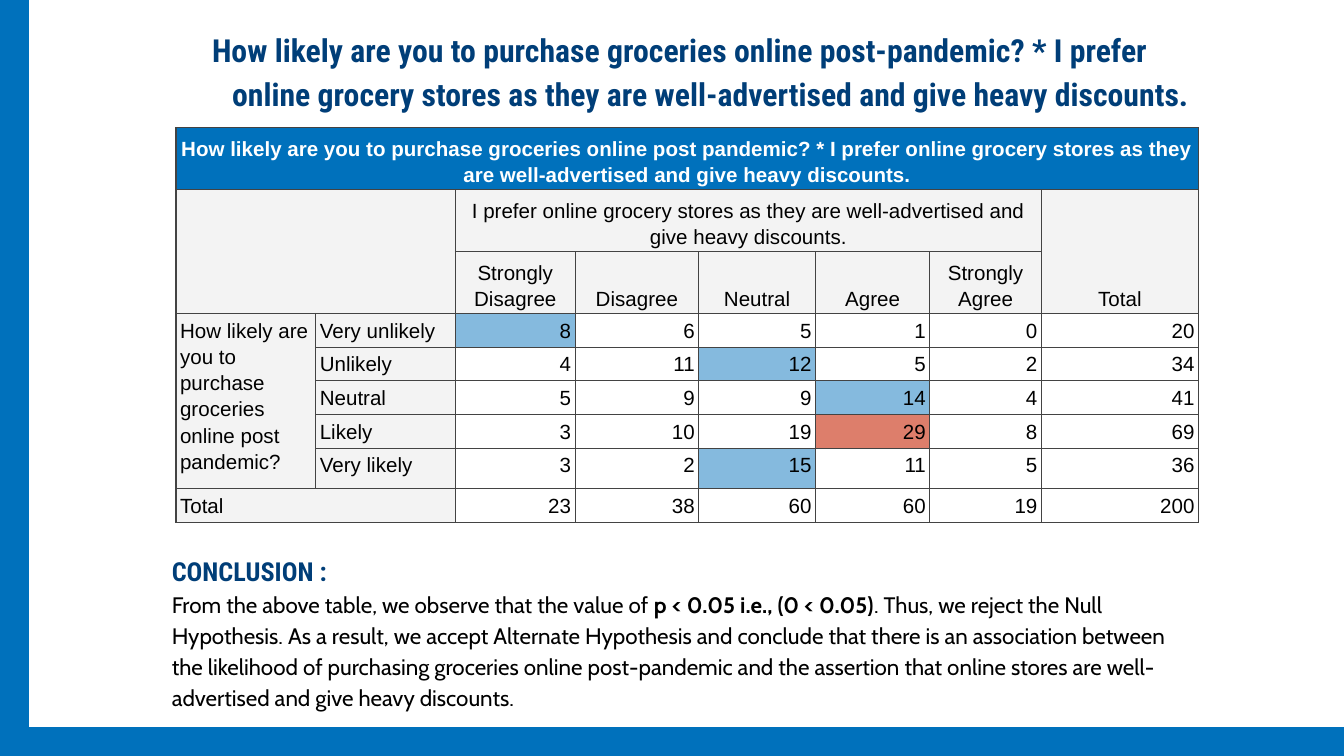
from pptx import Presentation
from pptx.dml.color import RGBColor as RGB
from pptx.enum.shapes import MSO_SHAPE as Shape
from pptx.enum.text import MSO_ANCHOR as Anchor, MSO_AUTO_SIZE as Auto, PP_ALIGN as Align
from pptx.oxml import parse_xml
from pptx.oxml.ns import nsdecls
from pptx.util import Inches, Pt

HUE = {
    "blue": "0071BC", "navy": "003E78", "black": "000000", "white": "FFFFFF",
    "grey": "F3F3F3", "line": "434343", "sky": "85BADE", "red": "DD7E6B",
}
HEAD = "Roboto Condensed"

deck = Presentation()
W = Inches(10)
H = W * 9 // 16
deck.slide_width, deck.slide_height = W, H
slide = deck.slides.add_slide(deck.slide_layouts[6])


def style(par, size, face, hue, bold=False, align=Align.LEFT):
    par.alignment = align
    par.line_spacing = 1.15
    for run in par.runs:
        run.font.size = Pt(size)
        run.font.name = face
        run.font.bold = bold
        run.font.color.rgb = RGB.from_string(HUE[hue])


def add_box(x, y, w, h):
    box = slide.shapes.add_textbox(Inches(x), Inches(y), Inches(w), Inches(h))
    frame = box.text_frame
    frame.word_wrap = True
    frame.vertical_anchor = Anchor.TOP
    frame.margin_left = frame.margin_right = Inches(0.1)
    frame.margin_top = frame.margin_bottom = Inches(0.1)
    return frame


title = add_box(0.61, 0.09, 9, 0.87)
title.text = (
    "How likely are you to purchase groceries online post-pandemic? * I prefer\n"
    "online grocery stores as they are well-advertised and give heavy discounts."
)
for par, side, gap in zip(title.paragraphs, ("marR", "marL"), (0.1, 0.46)):
    style(par, 17, HEAD, "navy", True, Align.CENTER)
    par._p.get_or_add_pPr().set(side, str(Inches(gap)))

note = add_box(1.18, 4, 7.86, 1.37)
note.auto_size = Auto.SHAPE_TO_FIT_TEXT
note.text = "CONCLUSION :"
style(note.paragraphs[0], 14, HEAD, "navy", True)
body = note.add_paragraph()
for text in (
    "From the above table, we observe that the value of ",
    "p < 0.05 i.e., (0 < 0.05)",
    ". Thus, we reject the Null Hypothesis. As a result, we accept Alternate "
    "Hypothesis and conclude that there is an association between the likelihood "
    "of purchasing groceries online post-pandemic and the assertion that online "
    "stores are well-advertised and give heavy discounts.",
):
    body.add_run().text = text
style(body, 12, "Cabin", "black")
body.runs[1].font.bold = True
body.space_after = Pt(16)

band = Inches(0.21)
for x, y, w, h in ((0, 0, band, H), (band, H - band, W - band, band)):
    bar = slide.shapes.add_shape(Shape.RECTANGLE, x, y, w, h)
    bar.shadow.inherit = False
    bar.fill.solid()
    bar.fill.fore_color.rgb = RGB.from_string(HUE["blue"])
    bar.line.color.rgb = RGB.from_string(HUE["blue"])
    bar.line.width = Pt(0.75)

cols = [1.04, 1.04, 0.89, 0.92, 0.87, 0.85, 0.83, 1.17]
rows = [0.42] * 3 + [0.23] * 4 + [0.29, 0.23]
claim = "I prefer online grocery stores as they are well-advertised and give heavy discounts."
ask = "How likely are you to purchase groceries online post pandemic?"
data = [
    [f"{ask} * {claim}"] + [""] * 7,
    ["", "", claim, "", "", "", "", "Total"],
    ["", "", "Strongly Disagree", "Disagree", "Neutral", "Agree", "Strongly Agree", ""],
    [ask, "Very unlikely", 8, 6, 5, 1, 0, 20],
    ["", "Unlikely", 4, 11, 12, 5, 2, 34],
    ["", "Neutral", 5, 9, 9, 14, 4, 41],
    ["", "Likely", 3, 10, 19, 29, 8, 69],
    ["", "Very likely", 3, 2, 15, 11, 5, 36],
    ["Total", "", 23, 38, 60, 60, 19, 200],
]
marks = {(3, 2): "sky", (4, 4): "sky", (5, 5): "sky", (6, 5): "red", (7, 4): "sky"}
spans = [(0, 0, 0, 7), (1, 0, 2, 1), (1, 2, 1, 6), (1, 7, 2, 7), (3, 0, 7, 0), (8, 0, 8, 1)]

grid = slide.shapes.add_table(
    len(rows), len(cols), Inches(1.31), Inches(0.95), Inches(sum(cols)), Inches(sum(rows))
).table
grid.first_row = grid.horz_banding = False
for col, wide in zip(grid.columns, cols):
    col.width = Inches(wide)
for row, tall in zip(grid.rows, rows):
    row.height = Inches(tall)

for r, line in enumerate(data):
    for c, value in enumerate(line):
        cell = grid.cell(r, c)
        cell.margin_left = cell.margin_right = Inches(0.03)
        cell.margin_top = cell.margin_bottom = Inches(0.02)
        cell.vertical_anchor = Anchor.BOTTOM if r < 3 else Anchor.TOP
        for side in "LRTB":
            cell._tc.get_or_add_tcPr().append(parse_xml(
                f'<a:ln{side} {nsdecls("a")} w="{Pt(0.75)}"><a:solidFill>'
                f'<a:srgbClr val="{HUE["line"]}"/></a:solidFill></a:ln{side}>'
            ))
        plain = "blue" if r == 0 else "grey" if r < 3 or c < 2 else "white"
        cell.fill.solid()
        cell.fill.fore_color.rgb = RGB.from_string(HUE[marks.get((r, c), plain)])
        align = Align.CENTER if r < 3 else Align.LEFT if c < 2 else Align.RIGHT
        cell.text_frame.text = str(value)
        style(cell.text_frame.paragraphs[0], 11, "Arial",
              "black" if r else "white", r == 0, align)

for top, left, low, right in spans:
    grid.cell(top, left).merge(grid.cell(low, right))

deck.save("out.pptx")
